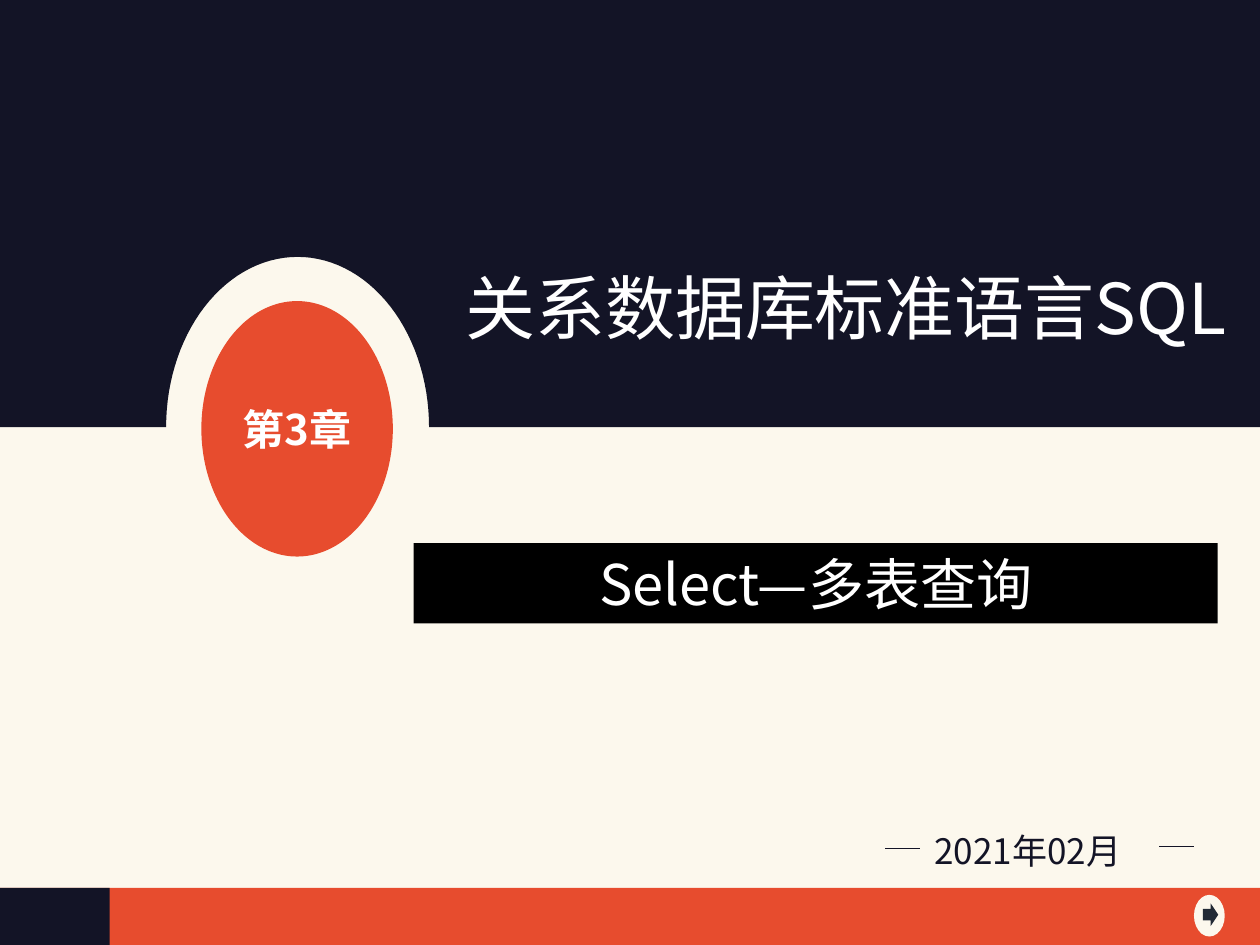
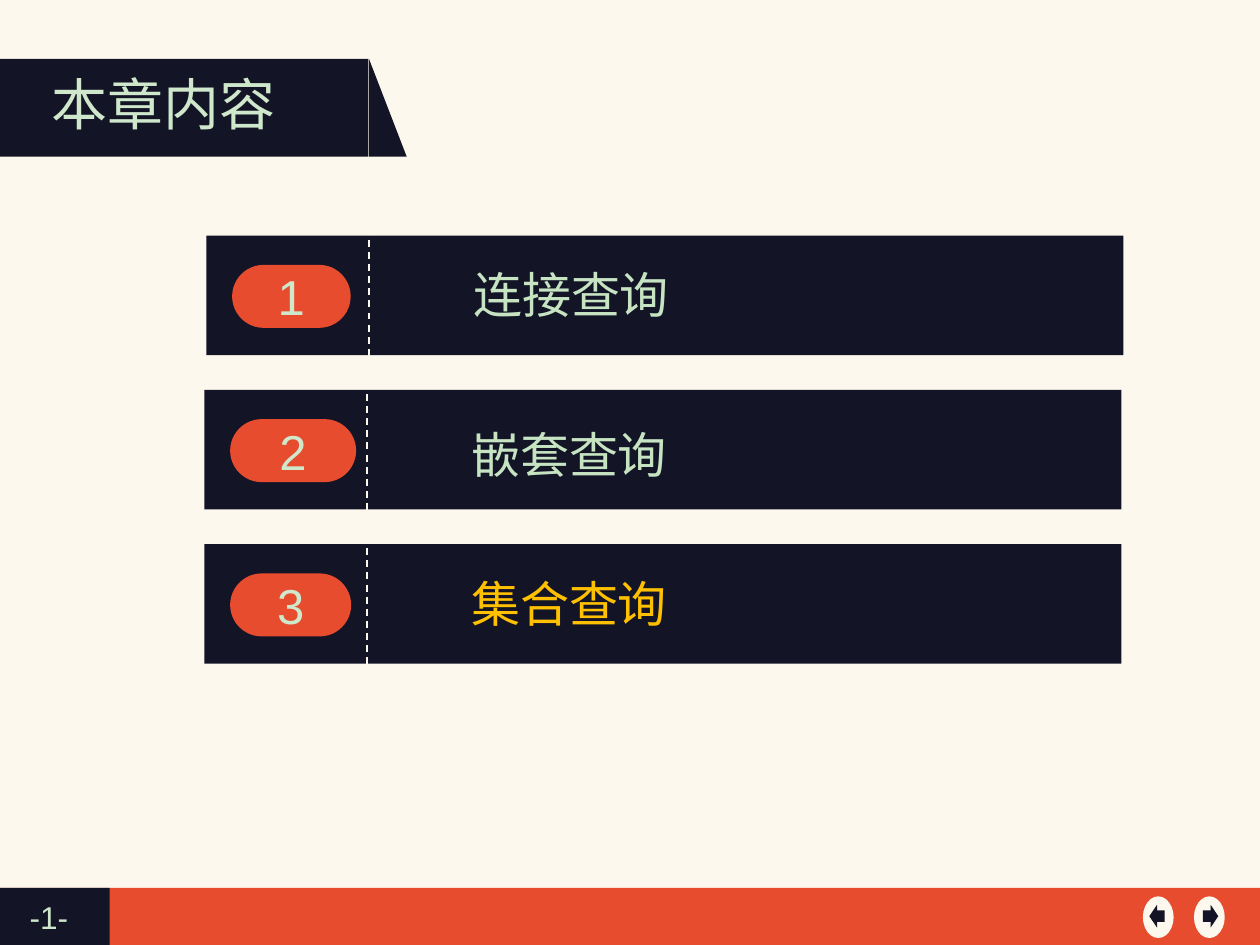
import math

import lxml.etree
import pptx
import pptx.dml.color
import pptx.enum.dml
import pptx.enum.shapes
import pptx.enum.text
import pptx.oxml.ns
import pptx.util

Cm = pptx.util.Cm
RGBColor = pptx.dml.color.RGBColor
SHAPE = pptx.enum.shapes.MSO_SHAPE
ALIGN = pptx.enum.text.PP_ALIGN
ANCHOR = pptx.enum.text.MSO_ANCHOR

NAVY = RGBColor(0x13, 0x14, 0x26)
CREAM = RGBColor(0xFC, 0xF8, 0xED)
RED = RGBColor(0xE7, 0x4C, 0x2E)
SLATE = RGBColor(0x22, 0x2A, 0x35)
MINT = RGBColor(0xCF, 0xE8, 0xCC)
GREEN = RGBColor(0xC6, 0xE4, 0xC2)
GOLD = RGBColor(0xFF, 0xC0, 0x00)
WHITE = RGBColor(0xFF, 0xFF, 0xFF)
BLACK = RGBColor(0x00, 0x00, 0x00)

HAN = "Noto Sans CJK SC"
WIDE, HIGH = 25.4, 19.05
FOOT = 17.9


def paint(shape, color):
    shape.shadow.inherit = False
    shape.fill.solid()
    shape.fill.fore_color.rgb = color
    shape.line.fill.background()
    return shape


def block(slide, kind, box, color):
    return paint(slide.shapes.add_shape(kind, *map(Cm, box)), color)


def write(shape, text, size=28, color=MINT, font=HAN, bold=False,
          align=ALIGN.CENTER, anchor=ANCHOR.MIDDLE):
    frame = shape.text_frame
    frame.word_wrap = True
    frame.vertical_anchor = anchor
    para = frame.paragraphs[0]
    para.alignment = align
    run = para.add_run()
    run.text = text
    run.font.size = pptx.util.Pt(size)
    run.font.bold = bold
    run.font.color.rgb = color
    run.font.name = font
    east = lxml.etree.SubElement(run.font._element, pptx.oxml.ns.qn("a:ea"))
    east.set("typeface", font)


def label(slide, text, box, align=ALIGN.LEFT, **style):
    shape = slide.shapes.add_textbox(*map(Cm, box))
    write(shape, text, align=align, anchor=ANCHOR.TOP, **style)


def rule(slide, start, end, color, width, dash=None):
    line = slide.shapes.add_connector(
        pptx.enum.shapes.MSO_CONNECTOR.STRAIGHT, *map(Cm, start + end))
    line.line.color.rgb = color
    line.line.width = pptx.util.Pt(width)
    line.line.dash_style = dash
    lxml.etree.SubElement(line._element.spPr, pptx.oxml.ns.qn("a:effectLst"))


def button(slide, left, top, kind, inset, color):
    block(slide, SHAPE.OVAL, (left, top, 0.62, 0.84), CREAM)
    block(slide, kind, (left + inset, top + 0.17, 0.31, 0.46), color)


def page(deck):
    slide = deck.slides.add_slide(deck.slide_layouts[6])
    block(slide, SHAPE.RECTANGLE, (0, 0, WIDE, HIGH), CREAM)
    block(slide, SHAPE.RECTANGLE, (0, FOOT, WIDE, HIGH - FOOT), RED)
    block(slide, SHAPE.RECTANGLE, (0, FOOT, 2.21, HIGH - FOOT), NAVY)
    return slide


def arch(slide):
    mid, base, wide, high = 6, 8.61, 2.65, 3.43
    turns = [math.pi * step / 60 for step in range(61)]
    curve = [(mid + wide * math.cos(turn), base - high * math.sin(turn))
             for turn in turns]
    spots = [(WIDE, 0), (WIDE, base)] + curve + [(0, base)]
    pen = slide.shapes.build_freeform(0, 0)
    pen.add_line_segments([(Cm(x), Cm(y)) for x, y in spots], close=True)
    paint(pen.convert_to_shape(), NAVY)


def cover(deck):
    slide = page(deck)
    button(slide, 24.07, 18.04, SHAPE.RIGHT_ARROW, 0.18, SLATE)
    arch(slide)
    badge = block(slide, SHAPE.OVAL, (4.06, 6.07, 3.86, 5.15), RED)
    write(badge, "第3章", size=24, color=WHITE, bold=True)
    label(slide, "2021年02月", (18.59, 16.59, 4.83, 1.96),
          size=20, color=NAVY)
    for left, top in ((17.85, 17.1), (23.37, 17.07)):
        rule(slide, (left, top), (left + 0.7, top), NAVY, 0.5)
    topic = block(slide, SHAPE.RECTANGLE, (8.34, 10.95, 16.21, 1.62), BLACK)
    write(topic, "Select—多表查询", size=32, color=WHITE)
    label(slide, "关系数据库标准语言SQL", (9.11, 5.21, 15.88, 3.66),
          size=40, color=WHITE, align=ALIGN.CENTER)


def entry(slide, mark, text, left, top, wide, drop, color):
    block(slide, SHAPE.RECTANGLE, (left, top, 18.49, 2.41), NAVY)
    edge = left + 3.28
    rule(slide, (edge, top + 0.08), (edge, top + 2.53), CREAM, 1,
         pptx.enum.dml.MSO_LINE.DASH)
    pill = block(slide, SHAPE.ROUNDED_RECTANGLE,
                 (left + 0.52, top + 0.59, wide, 1.27), RED)
    pill.adjustments[0] = 0.5
    write(pill, str(mark), font="Arial")
    label(slide, text, (left + 5.13, top + drop, 12.6, 1.45), color=color)


def agenda(deck):
    slide = page(deck)
    button(slide, 24.07, 18.07, SHAPE.RIGHT_ARROW, 0.18, NAVY)
    button(slide, 23.04, 18.07, SHAPE.LEFT_ARROW, 0.13, NAVY)
    block(slide, SHAPE.RECTANGLE, (0, 1.19, 7.43, 1.97), NAVY)
    block(slide, SHAPE.RIGHT_TRIANGLE, (7.44, 1.19, 0.76, 1.97), NAVY)
    label(slide, "本章内容", (0.79, 1.27, 5.03, 1.63),
          size=32, align=ALIGN.CENTER)
    label(slide, "-1-", (0.35, 17.98, 1.63, 1.02), size=18, font="Arial")
    rows = (("连接查询", 4.16, 2.39, 0.46, GREEN),
            ("嵌套查询", 4.12, 2.54, 0.58, GREEN),
            ("集合查询", 4.12, 2.44, 0.46, GOLD))
    for step, (text, left, wide, drop, color) in enumerate(rows):
        entry(slide, step + 1, text, left, 4.75 + 3.11 * step,
              wide, drop, color)


def main():
    deck = pptx.Presentation()
    deck.slide_width = Cm(WIDE)
    deck.slide_height = Cm(HIGH)
    cover(deck)
    agenda(deck)
    deck.save("out.pptx")


if __name__ == "__main__":
    main()
